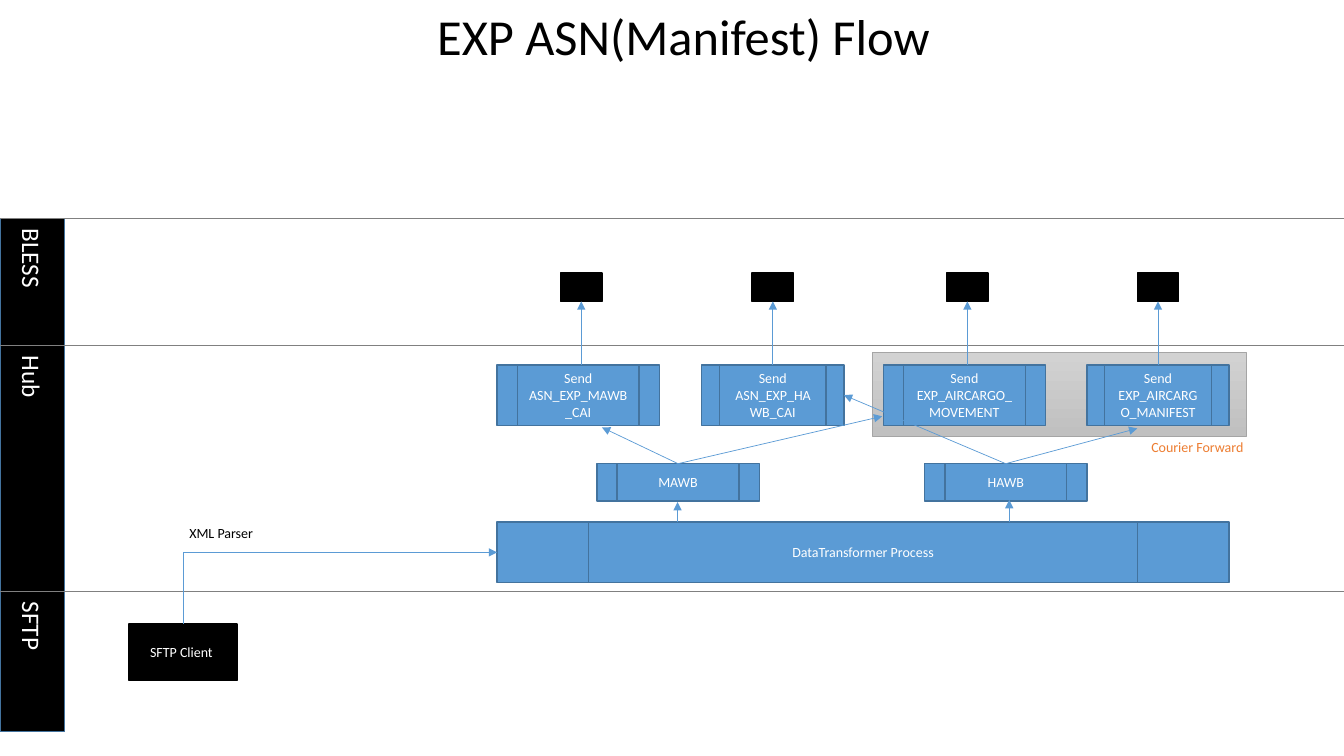
from lxml import etree
from pptx import Presentation
from pptx import util as u
from pptx.dml.color import RGBColor
from pptx.enum import shapes, text
from pptx.oxml.ns import qn

BLUE = RGBColor(0x5B, 0x9B, 0xD5)
EDGE = RGBColor(0x43, 0x73, 0x9E)
GRAY = RGBColor(0x80, 0x80, 0x80)
FRAME = RGBColor(0xA5, 0xA5, 0xA5)
FRAME_TOP = RGBColor(0xD2, 0xD2, 0xD2)
FRAME_BOTTOM = RGBColor(0xC0, 0xC0, 0xC0)
ORANGE = RGBColor(0xED, 0x7D, 0x31)
BLACK = RGBColor(0, 0, 0)
WHITE = RGBColor(255, 255, 255)

RECT = shapes.MSO_SHAPE.RECTANGLE
PROCESS = shapes.MSO_SHAPE.FLOWCHART_PREDEFINED_PROCESS
LEFT, CENTER, RIGHT = text.PP_ALIGN.LEFT, text.PP_ALIGN.CENTER, text.PP_ALIGN.RIGHT
TOP_SIDE, LEFT_SIDE, BOTTOM_SIDE, RIGHT_SIDE = range(4)

SLIDE_W, SLIDE_H = 13.33, 7.5
LANE_W = 0.64
LANES = [("BLESS", 2.17, 3.43), ("Hub", 3.43, 5.87), ("SFTP", 5.87, 7.26)]
SEND_TOP, SEND_H = 3.62, 0.6
TARGET_TOP, TARGET_W, TARGET_H = 2.71, 0.41, 0.28
SENDS = [
    ("Send ASN_EXP_MAWB_CAI", 4.93, 1.61, 5.56),
    ("Send ASN_EXP_HAWB_CAI", 6.96, 1.41, 7.46),
    ("Send EXP_AIRCARGO_MOVEMENT", 8.76, 1.61, 9.39),
    ("Send EXP_AIRCARGO_MANIFEST", 10.78, 1.41, 11.28),
]
BILLS = [("MAWB", 5.92), ("HAWB", 9.17)]
BILL_TOP, BILL_W, BILL_H = 4.6, 1.61, 0.37
BILL_ARROWS = [("MAWB", 5.97, 4.24), ("MAWB", 8.75, 4.13), ("HAWB", 11.28, 4.25)]
PROCESS_ARROWS = [(6.72, 5.18, 4.98), (10.01, 5.18, 4.96)]
LABELS = [
    ("EXP ASN(Manifest) Flow", 0, 0, 13.56, 0.71, 36, BLACK, CENTER),
    ("XML Parser", 1.78, 5.15, 1.27, 0.27, 10, BLACK, LEFT),
    ("Courier Forward", 9.74, 4.3, 2.69, 0.27, 10, ORANGE, RIGHT),
]

prs = Presentation()
prs.slide_width, prs.slide_height = u.Inches(SLIDE_W), u.Inches(SLIDE_H)
s = prs.slides.add_slide(prs.slide_layouts[6])


def inches(*values):
    return [u.Inches(v) for v in values]


def write(sp, words, size, color, align):
    tf = sp.text_frame
    tf.word_wrap = True
    p = tf.paragraphs[0]
    p.text = words
    p.alignment = align
    for r in p.runs:
        r.font.name = "Calibri"
        r.font.size = u.Pt(size)
        r.font.color.rgb = color


def box(kind, x, y, w, h, fill, edge, words="", size=10):
    sp = s.shapes.add_shape(kind, *inches(x, y, w, h))
    sp.shadow.inherit = False
    sp.fill.solid()
    sp.fill.fore_color.rgb = fill
    sp.line.color.rgb = edge
    sp.line.width = u.Pt(1)
    if words:
        write(sp, words, size, WHITE, CENTER)
        sp.text_frame.vertical_anchor = text.MSO_ANCHOR.MIDDLE
    return sp


def line(x1, y1, x2, y2, color=BLUE, arrow=True, kind=shapes.MSO_CONNECTOR.STRAIGHT):
    c = s.shapes.add_connector(kind, *inches(x1, y1, x2, y2))
    c.line.color.rgb = color
    c.line.width = u.Pt(0.5)
    if arrow:
        etree.SubElement(c.line._get_or_add_ln(), qn("a:tailEnd"), type="triangle")
    etree.SubElement(c._element.spPr, qn("a:effectLst"))
    return c


frame = s.shapes.add_shape(RECT, *inches(8.65, 3.5, 3.71, 0.83))
frame.shadow.inherit = False
frame.fill.gradient()
frame.fill.gradient_angle = 270
for stop, color in zip(frame.fill.gradient_stops, (FRAME_TOP, FRAME_BOTTOM)):
    stop.color.rgb = color
frame.line.color.rgb = FRAME
frame.line.width = u.Pt(0.5)

for name, top, bottom in LANES:
    lane = box(RECT, 0, top, LANE_W, bottom - top, BLACK, EDGE, name, 18)
    lane.text_frame._txBody.bodyPr.set("vert", "eaVert")
for name, top, bottom in LANES:
    line(0, top, SLIDE_W, top, GRAY, False)

transformer = box(PROCESS, 4.93, 5.18, 7.26, 0.6, BLUE, EDGE, "DataTransformer Process")
client = box(RECT, 1.28, 6.19, 1.07, 0.56, BLACK, BLACK, "SFTP Client ")
bills = {name: box(PROCESS, x, BILL_TOP, BILL_W, BILL_H, BLUE, EDGE, name)
         for name, x in BILLS}

sends = []
for words, x, w, target_x in SENDS:
    send = box(PROCESS, x, SEND_TOP, w, SEND_H, BLUE, EDGE, words)
    target = box(RECT, target_x, TARGET_TOP, TARGET_W, TARGET_H, BLACK, BLACK)
    mid = target_x + TARGET_W / 2
    c = line(mid, SEND_TOP, mid, TARGET_TOP + TARGET_H)
    if abs(x + w / 2 - mid) < 0.01:
        c.begin_connect(send, TOP_SIDE)
    c.end_connect(target, BOTTOM_SIDE)
    sends.append(send)

for name, x, y in BILL_ARROWS:
    line(x, BILL_TOP, x, y).begin_connect(bills[name], TOP_SIDE)
c = line(9.97, 4.6, 8.37, 3.92)
c.begin_connect(bills["HAWB"], TOP_SIDE)
c.end_connect(sends[1], RIGHT_SIDE)
for x, y1, y2 in PROCESS_ARROWS:
    line(x, y1, x, y2)

feed = line(3.73, 7.39, 3.02, 4.28, kind=shapes.MSO_CONNECTOR.ELBOW)
feed.begin_connect(client, TOP_SIDE)
feed.end_connect(transformer, LEFT_SIDE)
feed.left, feed.top, feed.width, feed.height = inches(3.02, 4.28, 0.71, 3.11)
feed._element.spPr.find(qn("a:prstGeom")).set("prst", "bentConnector2")
xfrm = feed._element.spPr.find(qn("a:xfrm"))
for key, value in (("rot", "5400000"), ("flipH", "1"), ("flipV", "1")):
    xfrm.set(key, value)

for words, x, y, w, h, size, color, align in LABELS:
    write(s.shapes.add_textbox(*inches(x, y, w, h)), words, size, color, align)

prs.save("out.pptx")
